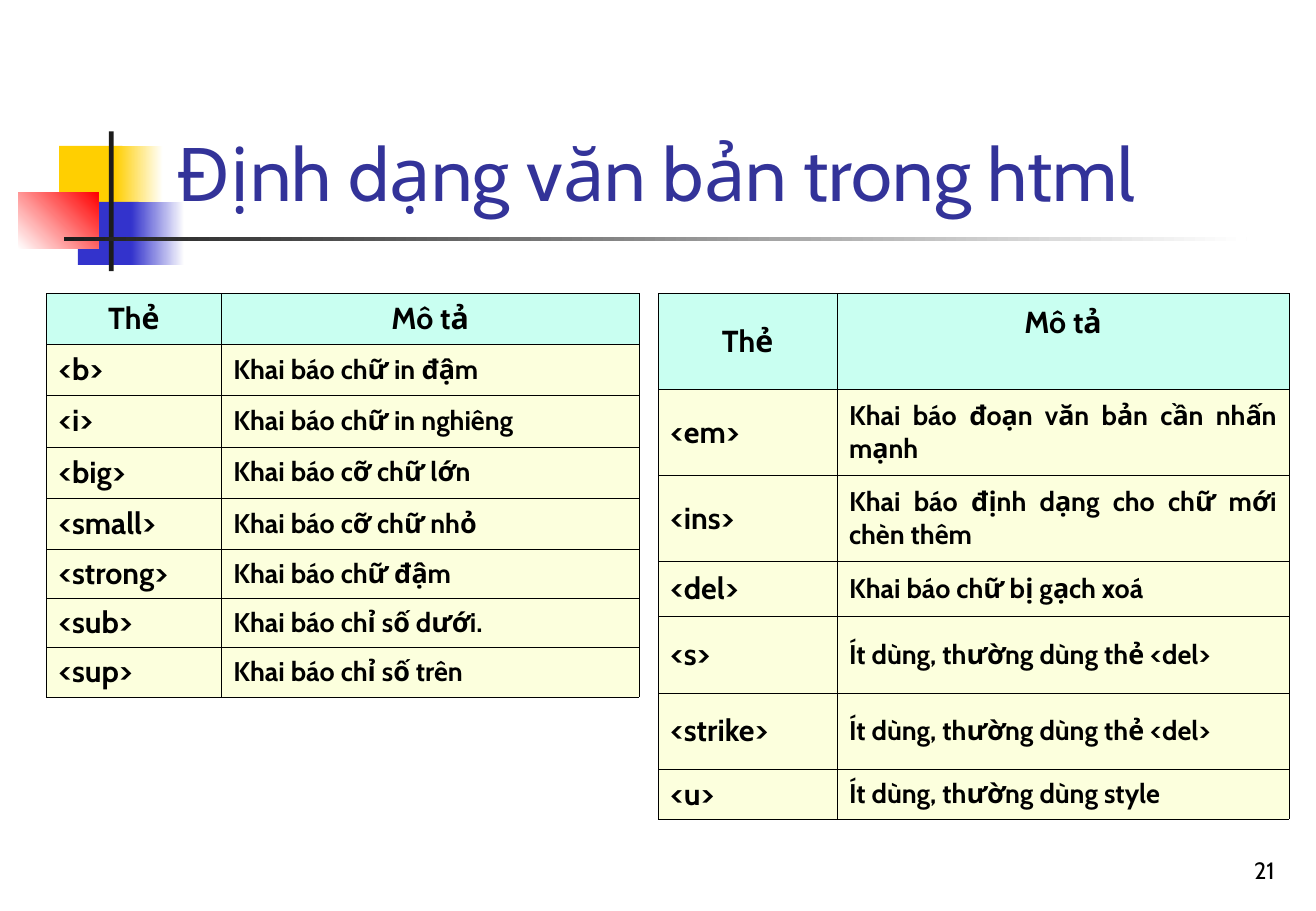
from lxml import etree
from pptx import Presentation
from pptx.dml.color import RGBColor
from pptx.enum.shapes import MSO_SHAPE
from pptx.enum.text import MSO_ANCHOR, PP_ALIGN
from pptx.oxml.ns import qn
from pptx.util import Cm, Pt

RECTANGLE = MSO_SHAPE.RECTANGLE
MIDDLE, BOTTOM = MSO_ANCHOR.MIDDLE, MSO_ANCHOR.BOTTOM
LEFT, CENTER, RIGHT, JUSTIFY = PP_ALIGN.LEFT, PP_ALIGN.CENTER, PP_ALIGN.RIGHT, PP_ALIGN.JUSTIFY
FONT = "Cabin"
COLORS = {
    "yellow": "FFCF01", "blue": "3333CC", "red": "FF0000", "dark": "1C1C1C",
    "white": "FFFFFF", "title": "333399", "black": "000000",
    "header": "C9FFF1", "body": "FCFFDD",
}


def rgb(name):
    return RGBColor.from_string(COLORS[name])


def write(frame, text, size, color="black", bold=False, align=LEFT):
    frame.word_wrap = True
    paragraph = frame.paragraphs[0]
    paragraph.alignment = align
    run = paragraph.add_run()
    run.text = text
    run.font.name = FONT
    run.font.size = Pt(size)
    run.font.bold = bold
    run.font.color.rgb = rgb(color)


prs = Presentation()
prs.slide_width, prs.slide_height = Cm(27.53), Cm(19.05)
slide = prs.slides.add_slide(prs.slide_layouts[6])

ornaments = [
    (1.24, 3.05, 1.32, 1.32, ["yellow"], 0),
    (2.41, 3.05, 1, 1.32, ["yellow", "white"], 0),
    (1.63, 4.22, 1.27, 1.32, ["blue"], 0),
    (2.74, 4.22, 1.12, 1.32, ["blue", "white"], 0),
    (0.38, 4.02, 1.68, 1.18, ["white", "red"], 45),
    (2.28, 2.75, 0.1, 2.92, ["dark"], 0),
    (1.33, 4.96, 24.75, 0.08, ["dark", "white"], 0),
]
for left, top, width, height, tints, angle in ornaments:
    block = slide.shapes.add_shape(RECTANGLE, Cm(left), Cm(top), Cm(width), Cm(height))
    block.shadow.inherit = False
    block.line.fill.background()
    if len(tints) == 1:
        block.fill.solid()
        block.fill.fore_color.rgb = rgb(tints[0])
    else:
        block.fill.gradient()
        block.fill.gradient_angle = angle
        for stop, tint in zip(block.fill.gradient_stops, tints):
            stop.color.rgb = rgb(tint)

labels = [
    (3.45, 0.58, 23.44, 4.06, "Định dạng văn bản trong html", 44, "title", LEFT),
    (21.18, 17.35, 5.74, 1.27, "21", 14, "black", RIGHT),
]
for left, top, width, height, text, size, color, align in labels:
    frame = slide.shapes.add_textbox(Cm(left), Cm(top), Cm(width), Cm(height)).text_frame
    frame.vertical_anchor = BOTTOM
    write(frame, text, size, color, align=align)

heading = ("Thẻ", "Mô tả")
basic_tags = [
    heading,
    ("<b>", "Khai báo chữ in đậm"),
    ("<i>", "Khai báo chữ in nghiêng"),
    ("<big>", "Khai báo cỡ chữ lớn"),
    ("<small>", "Khai báo cỡ chữ nhỏ"),
    ("<strong>", "Khai báo chữ đậm"),
    ("<sub>", "Khai báo chỉ số dưới."),
    ("<sup>", "Khai báo chỉ số trên"),
]
editing_tags = [
    heading,
    ("<em>", "Khai báo đoạn văn bản cần nhấn mạnh"),
    ("<ins>", "Khai báo định dạng cho chữ mới chèn thêm"),
    ("<del>", "Khai báo chữ bị gạch xoá"),
    ("<s>", "Ít dùng, thường dùng thẻ <del>"),
    ("<strike>", "Ít dùng, thường dùng thẻ <del>"),
    ("<u>", "Ít dùng, thường dùng style"),
]
tag_tables = [
    (0.97, [3.66, 8.74], [1.07] * 5 + [1.03] * 3, basic_tags, 0.13),
    (13.77, [3.74, 9.46], [2.01, 1.8, 1.8, 1.15, 1.6, 1.6, 1.04], editing_tags, 0.92),
]
for left, widths, heights, tags, heading_margin in tag_tables:
    table = slide.shapes.add_table(
        len(tags), 2, Cm(left), Cm(6.13), Cm(sum(widths)), Cm(sum(heights))).table
    for column, width in zip(table.columns, widths):
        column.width = Cm(width)
    for r, (row, height) in enumerate(zip(table.rows, heights)):
        row.height = Cm(height)
        for c, cell in enumerate(row.cells):
            properties = cell._tc.get_or_add_tcPr()
            for side in ("a:lnL", "a:lnR", "a:lnT", "a:lnB"):
                border = etree.SubElement(properties, qn(side), w=str(Pt(0.06)))
                paint = etree.SubElement(border, qn("a:solidFill"))
                etree.SubElement(paint, qn("a:srgbClr"), val=COLORS["black"])
            cell.fill.solid()
            cell.fill.fore_color.rgb = rgb("body" if r else "header")
            cell.vertical_anchor = MIDDLE
            if r == 0 and c == 1:
                cell.margin_bottom = Cm(heading_margin)
            write(cell.text_frame, tags[r][c], 16 if r and c else 18,
                  bold=True, align=JUSTIFY if r else CENTER)

prs.save("out.pptx")
